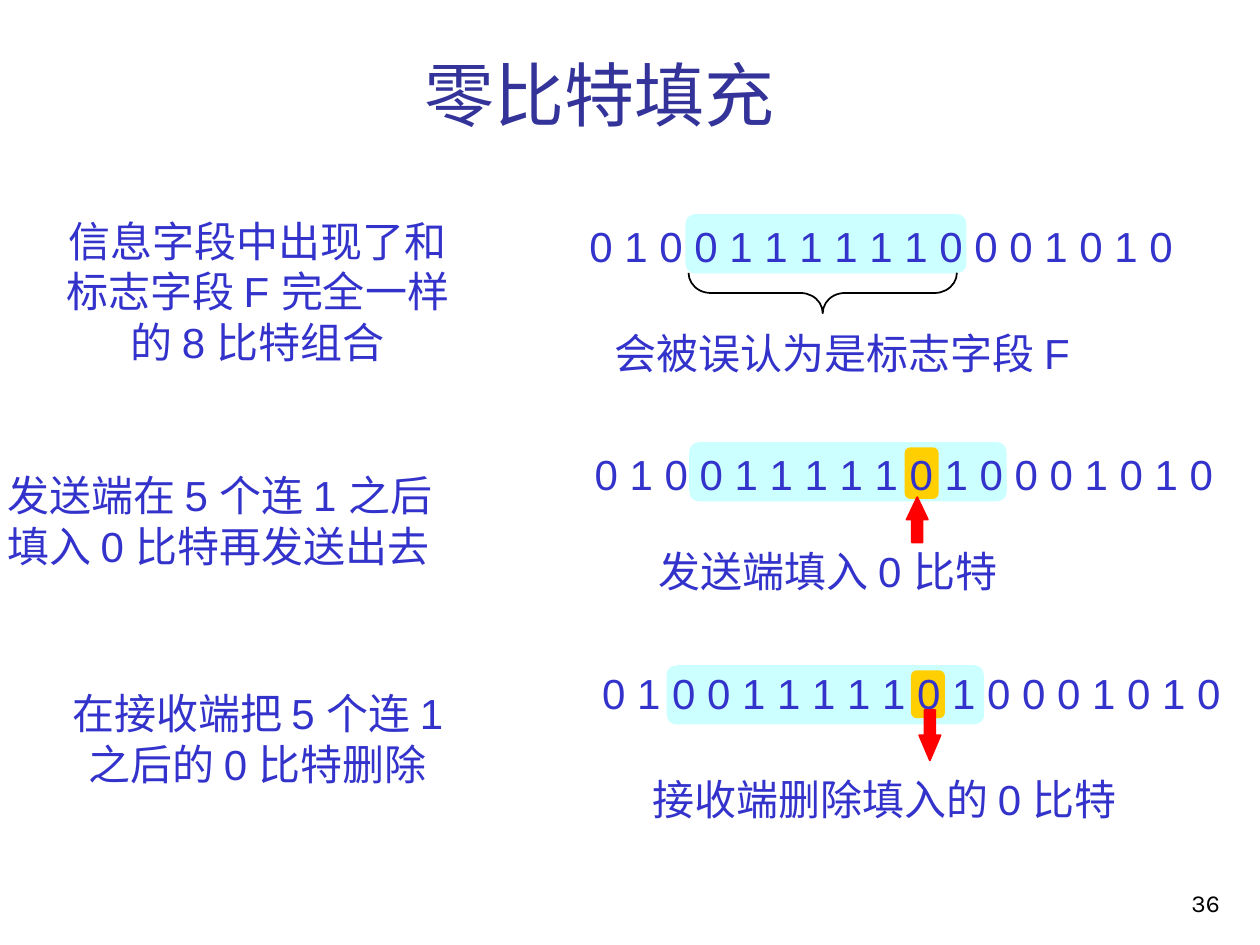
from pptx import Presentation
from pptx.dml.color import RGBColor
from pptx.enum.shapes import MSO_SHAPE as Shape
from pptx.enum.text import MSO_ANCHOR as Anchor, PP_ALIGN as Align
from pptx.util import Inches, Pt

BLUE = RGBColor(0x33, 0x33, 0xCC)
NAVY = RGBColor(0x33, 0x33, 0x99)
CYAN = RGBColor(0xCC, 0xFF, 0xFF)
GOLD = RGBColor(0xFF, 0xCF, 0x01)
RED = RGBColor(0xFF, 0x00, 0x00)
BLACK = RGBColor(0x00, 0x00, 0x00)

prs = Presentation()
prs.slide_width, prs.slide_height = Inches(10), Inches(7.5)
slide = prs.slides.add_slide(prs.slide_layouts[5])


def write(box, text, size, font, color, align=Align.LEFT):
    frame = box.text_frame
    frame.text = text
    for para in frame.paragraphs:
        para.alignment = align
        for run in para.runs:
            run.font.size = Pt(size)
            run.font.name = font
            run.font.color.rgb = color


def draw(kind, left, top, width, height, fill=None, line=None, turn=0):
    shape = slide.shapes.add_shape(
        kind, Inches(left), Inches(top), Inches(width), Inches(height))
    shape.shadow.inherit = False
    shape.rotation = turn
    if fill is None:
        shape.fill.background()
    else:
        shape.fill.solid()
        shape.fill.fore_color.rgb = fill
    if line is None:
        shape.line.fill.background()
    else:
        shape.line.color.rgb = line
        shape.line.width = Pt(1)
    return shape


# Title, wide enough for one line
title = slide.shapes.title
title.left, title.top = Inches(3.27), Inches(0.36)
title.width, title.height = Inches(3.1), Inches(0.77)
write(title, "零比特填充", 40, "Karla", NAVY)
title.text_frame.word_wrap = False
title.text_frame.vertical_anchor = Anchor.TOP

# Flag-like bit groups, then the stuffed zeros
for left, top, width in [(5.44, 1.7, 2.23), (5.47, 3.51, 2.52), (5.29, 5.28, 2.52)]:
    draw(Shape.ROUNDED_RECTANGLE, left, top, width, 0.47, CYAN)
for left, top, height in [(7.18, 3.55, 0.41), (7.23, 5.32, 0.38)]:
    draw(Shape.ROUNDED_RECTANGLE, left, top, 0.27, height, GOLD)

# Explanations, bit strings and captions
sent = "0 1 0 0 1 1 1 1 1 0 1 0 0 0 1 0 1 0"
texts = [
    ("信息字段中出现了和\n标志字段 F 完全一样\n的 8 比特组合", 0.3, 1.66, 3.49, 1.3, Align.CENTER),
    ("0 1 0 0 1 1 1 1 1 1 0 0 0 1 0 1 0", 4.58, 1.7, 4.83, 0.5, Align.LEFT),
    ("会被误认为是标志字段 F", 4.78, 2.55, 4.07, 0.5, Align.LEFT),
    ("发送端在 5 个连 1 之后\n填入 0 比特再发送出去", -0.04, 3.68, 4.07, 0.9, Align.LEFT),
    (sent, 4.62, 3.51, 5.11, 0.5, Align.LEFT),
    ("发送端填入 0 比特", 5.13, 4.28, 3.14, 0.5, Align.LEFT),
    ("在接收端把 5 个连 1\n之后的 0 比特删除", 0.26, 5.41, 3.57, 0.9, Align.CENTER),
    (sent, 4.68, 5.25, 5.11, 0.5, Align.LEFT),
    ("接收端删除填入的 0 比特", 5.08, 6.09, 4.14, 0.5, Align.LEFT),
]
for text, left, top, width, height, align in texts:
    box = slide.shapes.add_textbox(
        Inches(left), Inches(top), Inches(width), Inches(height))
    box.text_frame.word_wrap = False
    write(box, text, 24, "Arial", BLUE, align)

# Brace under the first group
brace = draw(Shape.LEFT_BRACE, 6.37, 1.26, 0.32, 2.13, line=BLACK, turn=270)
brace.adjustments[0] = 0.55

# Arrows at the stuffed zeros
for left, top, width, turn, head in [(7.1, 4.04, 0.36, 270, 1.05),
                                     (7.18, 5.75, 0.4, 90, 1.17)]:
    arrow = draw(Shape.RIGHT_ARROW, left, top, width, 0.17, RED, RED, turn)
    arrow.adjustments[1] = head

# Page number
page = slide.shapes.add_textbox(Inches(7.7), Inches(6.83), Inches(2.08), Inches(0.5))
page.text_frame.word_wrap = True
page.text_frame.vertical_anchor = Anchor.BOTTOM
write(page, "36", 14, "Karla", BLACK, Align.RIGHT)

prs.save("out.pptx")
